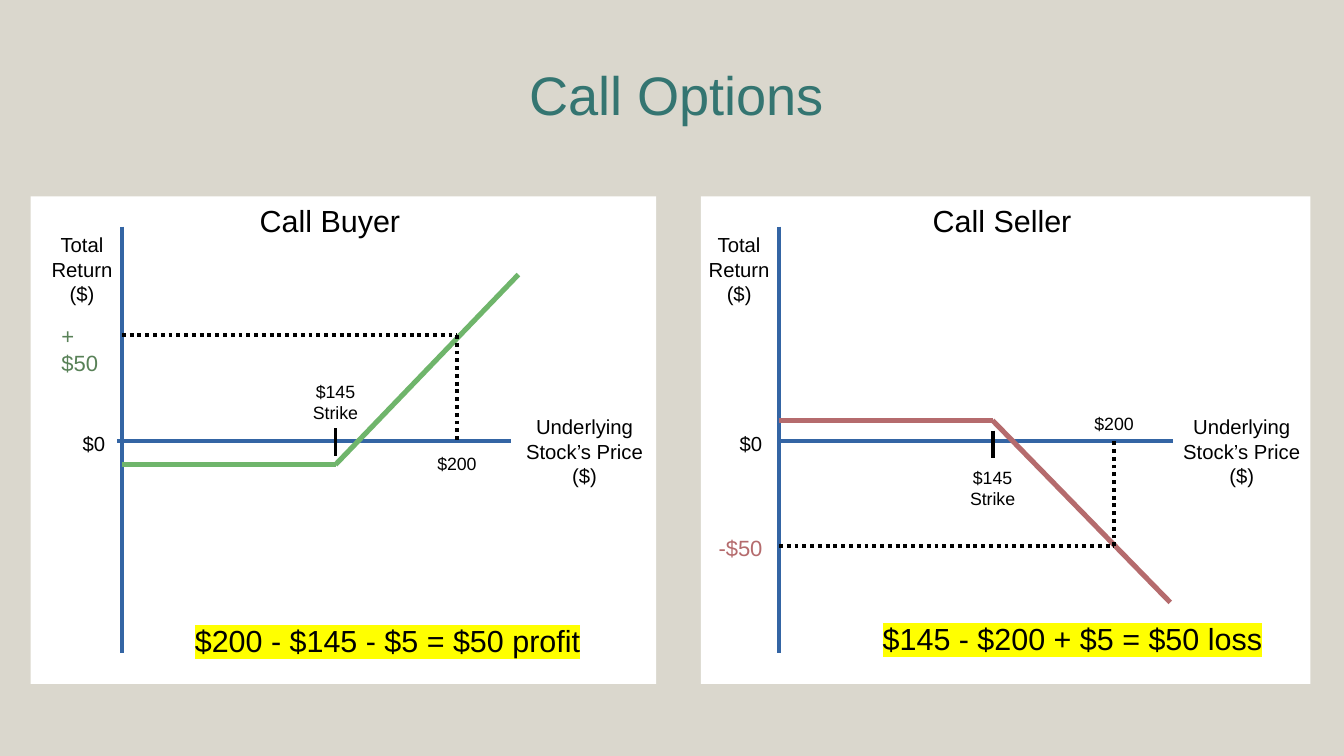
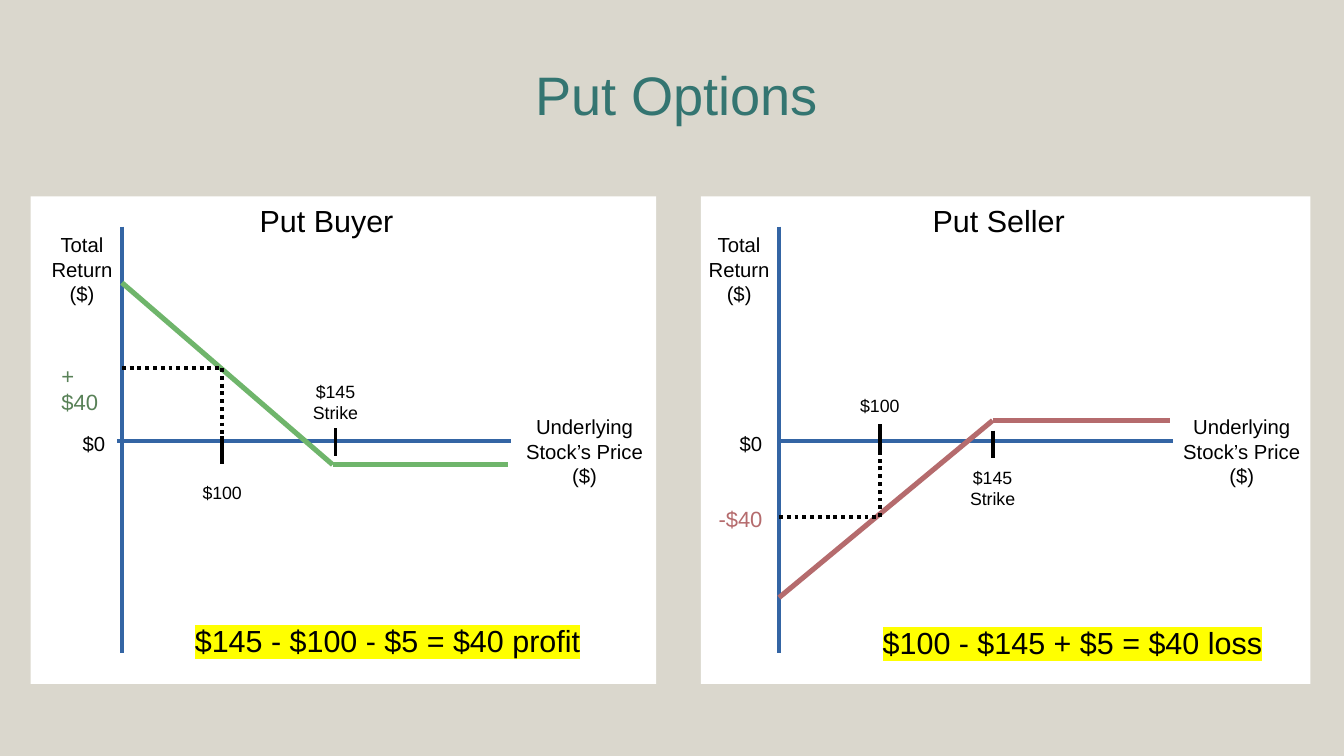
from dataclasses import dataclass

from lxml import etree
from pptx import Presentation
from pptx.dml.color import RGBColor
from pptx.enum.dml import MSO_LINE
from pptx.enum.shapes import MSO_CONNECTOR, MSO_SHAPE
from pptx.enum.text import MSO_ANCHOR, PP_ALIGN
from pptx.oxml.ns import qn
from pptx.util import Cm, Pt

STRAIGHT = MSO_CONNECTOR.STRAIGHT
RECTANGLE = MSO_SHAPE.RECTANGLE
SYS_DOT = MSO_LINE.ROUND_DOT
MIDDLE = MSO_ANCHOR.MIDDLE
LEFT, CENTER = PP_ALIGN.LEFT, PP_ALIGN.CENTER

FONT = "Arial"
BACKGROUND, TITLE, AXIS = "DAD7CD", "347571", "3465A4"
BLACK, WHITE, YELLOW = "000000", "FFFFFF", "FFFF00"
GREEN, DARK_GREEN, RED = "6FB56B", "588157", "B56B6D"

# Lengths are in centimetres
PANEL_TOP, PANEL_HEIGHT = 4.09, 10.16
AXIS_TOP, AXIS_BOTTOM, ZERO_Y = 4.72, 13.61, 9.19
STRIKE_X, TICK_LENGTH = 4.45, 0.58
PRICE_LABEL_WIDTH = 1.78
THIN, THICK = 2.3, 3


@dataclass
class Side:
    """What a buyer's or a seller's panel keeps on both slides."""
    name: str
    panel_left: float
    panel_width: float
    axis_x: float
    axis_start: float
    axis_end: float
    heading_x: float
    result_x: float
    strike_tick: float
    strike_label: float
    payoff_color: str
    return_color: str


@dataclass
class Payoff:
    """One payoff graph; x runs from the vertical axis, y from the slide top."""
    points: list
    price: str
    price_x: float
    price_label: float
    gain: str
    gain_y: float
    gain_label: float
    result: str
    result_y: float
    price_tick: float | None = None


BUYER = Side("Buyer", 0.64, 13.03, 2.54, -0.1, 8.1, 2.62, 1.27,
             8.92, 7.8, GREEN, DARK_GREEN)
SELLER = Side("Seller", 14.6, 12.7, 16.23, 0, 8.2, 2.95, 1.91,
              8.97, 9.6, RED, RED)

SLIDES = {
    "Call": [
        (BUYER, Payoff([(0, 9.68), (STRIKE_X, 9.68), (8.26, 5.72)],
                       "$200", 6.98, 9.3, "+$50", 6.98, 6.6,
                       "$200 - $145 - $5 = $50 profit", 12.83)),
        (SELLER, Payoff([(0, 8.76), (STRIKE_X, 8.76), (8.15, 12.55)],
                        "$200", 6.98, 8.48, "-$50", 11.38, 11.02,
                        "$145 - $200 + $5 = $50 loss", 12.8)),
    ],
    "Put": [
        (BUYER, Payoff([(0, 5.89), (4.39, 9.68), (8.05, 9.68)],
                       "$100", 2.09, 9.91, "+$40", 7.67, 7.42,
                       "$145 - $100 - $5 = $40 profit", 12.83, 9.09)),
        (SELLER, Payoff([(0, 12.45), (STRIKE_X, 8.76), (8.15, 8.76)],
                        "$100", 2.1, 8.1, "-$40", 10.77, 10.41,
                        "$100 - $145 + $5 = $40 loss", 12.88, 8.84)),
    ],
}


def rgb(color):
    return RGBColor.from_string(color)


def add_text(s, text, x, y, w, h, size, color=BLACK, align=LEFT, wrap=True):
    """Add a one-run text box and return its text frame and run."""
    tf = s.shapes.add_textbox(Cm(x), Cm(y), Cm(w), Cm(h)).text_frame
    tf.word_wrap = wrap
    p = tf.paragraphs[0]
    p.alignment = align
    r = p.add_run()
    r.text = text
    r.font.name = FONT
    r.font.size = Pt(size)
    r.font.color.rgb = rgb(color)
    return tf, r


def highlight(r, color):
    latin = r.font._element.find(qn("a:latin"))
    mark = etree.Element(qn("a:highlight"))
    etree.SubElement(mark, qn("a:srgbClr")).set("val", color)
    latin.addprevious(mark)


def add_line(s, start, end, color, width=THIN, dash=None):
    line = s.shapes.add_connector(STRAIGHT, *(Cm(v) for v in (*start, *end)))
    line.line.color.rgb = rgb(color)
    line.line.width = Pt(width)
    if dash is not None:
        line.line.dash_style = dash
    etree.SubElement(line._element.spPr, qn("a:effectLst"))


def add_tick(s, x, top):
    add_line(s, (x, top), (x, top + TICK_LENGTH), BLACK)


def add_price_label(s, text, x, top, height):
    add_text(s, text, x - PRICE_LABEL_WIDTH / 2, top, PRICE_LABEL_WIDTH,
             height, 10.5, align=CENTER)


def add_panel(s, side):
    sp = s.shapes.add_shape(RECTANGLE, Cm(side.panel_left), Cm(PANEL_TOP),
                            Cm(side.panel_width), Cm(PANEL_HEIGHT))
    sp.shadow.inherit = False
    sp.fill.solid()
    sp.fill.fore_color.rgb = rgb(WHITE)
    sp.line.fill.background()


def add_axes(s, side):
    x = side.axis_x
    add_line(s, (x, AXIS_TOP), (x, AXIS_BOTTOM), AXIS)
    add_line(s, (x + side.axis_end, ZERO_Y), (x + side.axis_start, ZERO_Y), AXIS)
    add_text(s, "$0", x - 1.07, 8.86, 1, 0.74, 12)
    add_text(s, "Total Return ($)", x - 1.82, AXIS_TOP, 1.98, 2.62, 12,
             align=CENTER)
    add_text(s, "Underlying Stock’s Price ($)", x + 8.13, 8.51, 3.02, 2.62, 12,
             align=CENTER)


def add_payoff(s, option, side, payoff):
    x = side.axis_x
    strike_x, price_x = x + STRIKE_X, x + payoff.price_x
    points = [(x + px, py) for px, py in payoff.points]
    for start, end in zip(points, points[1:]):
        add_line(s, start, end, side.payoff_color, THICK)

    add_tick(s, strike_x, side.strike_tick)
    add_price_label(s, "$145 Strike", strike_x, side.strike_label, 1.1)
    if payoff.price_tick is not None:
        add_tick(s, price_x, payoff.price_tick)
    add_price_label(s, payoff.price, price_x, payoff.price_label, 0.69)

    corner = (price_x, payoff.gain_y)
    add_line(s, (x, payoff.gain_y), corner, BLACK, dash=SYS_DOT)
    add_line(s, corner, (price_x, ZERO_Y), BLACK, dash=SYS_DOT)
    add_text(s, payoff.gain, x - 1.51, payoff.gain_label, 1.5, 0.76, 13,
             side.return_color, wrap=False)

    add_text(s, f"{option} {side.name}", x + side.heading_x, PANEL_TOP,
             4.93, 1.12, 18)
    _, r = add_text(s, payoff.result, x + side.result_x, payoff.result_y,
                    9.88, 1.12, 18)
    highlight(r, YELLOW)


def add_slide(prs, option, graphs):
    s = prs.slides.add_slide(prs.slide_layouts[6])
    s.background.fill.solid()
    s.background.fill.fore_color.rgb = rgb(BACKGROUND)
    tf, _ = add_text(s, f"{option} Options", 1.5, 0.64, 25.2, 2.64, 32,
                     TITLE, CENTER)
    tf.vertical_anchor = MIDDLE
    tf.margin_left = tf.margin_right = tf.margin_top = tf.margin_bottom = 0
    for side, _ in graphs:
        add_panel(s, side)
    for side, payoff in graphs:
        add_axes(s, side)
        add_payoff(s, option, side, payoff)


def main():
    prs = Presentation()
    prs.slide_width, prs.slide_height = Cm(28), Cm(15.75)
    for option, graphs in SLIDES.items():
        add_slide(prs, option, graphs)
    prs.save("out.pptx")


if __name__ == "__main__":
    main()
